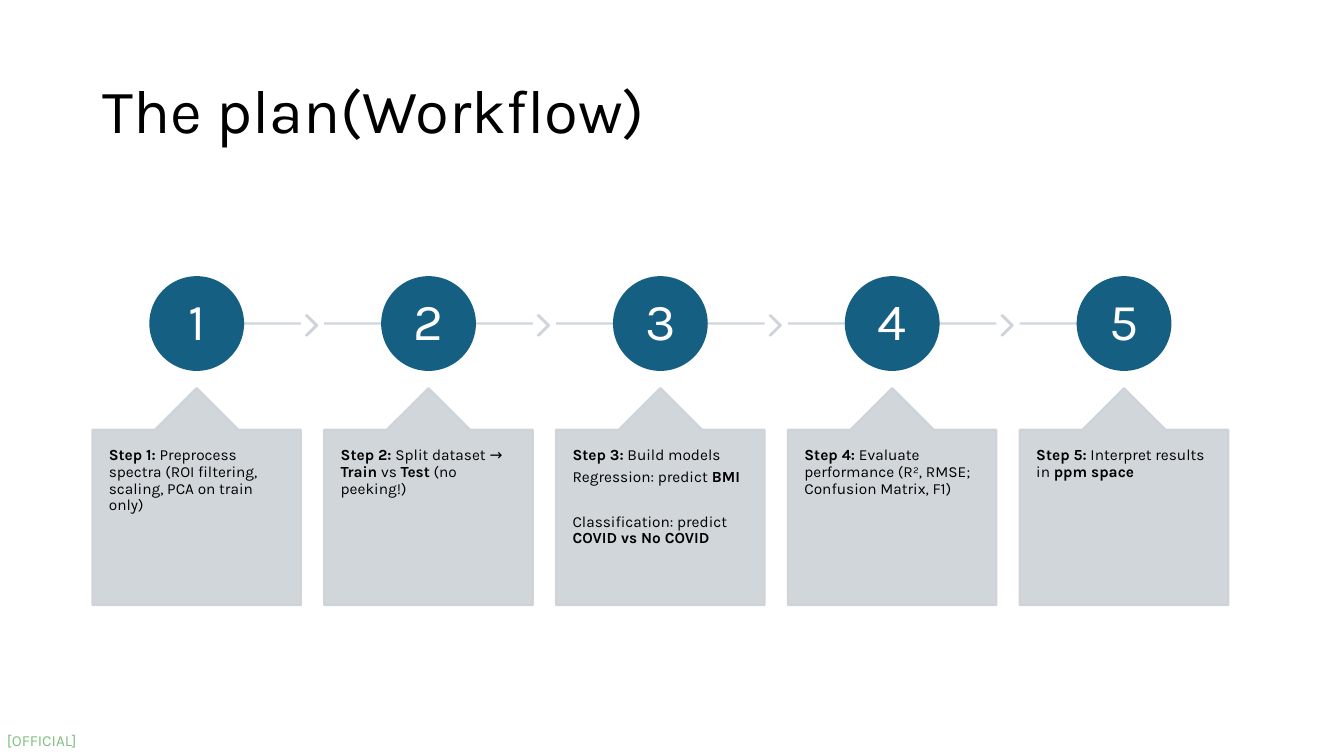
from lxml import etree
from pptx import Presentation
from pptx import util as u
from pptx.dml.color import RGBColor
from pptx.enum import shapes, text
from pptx.oxml.ns import qn

FONT = "Karla"
GREY, BLUE, WHITE, BLACK, GREEN = "CCD2D8", "156082", "FFFFFF", "000000", "008000"
GREY_ALPHA = 90

STEP_LEFT, STEP_TOP, STEP_WIDTH, STEP_PITCH = 66, 198, 149, 165.6
CIRCLE = 66.2
LINE_Y = 33.1
CALLOUT_TOP, CALLOUT_HEIGHT = 79.2, 155
CHEVRON_X, CHEVRON_Y, CHEVRON_WIDTH, CHEVRON_HEIGHT = 152.6, 27.3, 8, 14.3
PARA_GAP, GROUP_GAP = 3.9, 19.6

# Each step is a list of paragraphs: (runs, space after); a run is (words, bold).
STEPS = [
    [([("Step 1:", True),
       (" Preprocess spectra (ROI filtering, scaling, PCA on train only)", False)], PARA_GAP)],
    [([("Step 2:", True), (" Split dataset → ", False), ("Train", True),
       (" vs ", False), ("Test", True), (" (no peeking!)", False)], PARA_GAP)],
    [([("Step 3:", True), (" Build models", False)], PARA_GAP),
     ([("Regression: predict ", False), ("BMI", True)], GROUP_GAP),
     ([("Classification: predict ", False), ("COVID vs No COVID", True)], PARA_GAP)],
    [([("Step 4:", True),
       (" Evaluate performance (R², RMSE; Confusion Matrix, F1)", False)], PARA_GAP)],
    [([("Step 5:", True), (" Interpret results in ", False), ("ppm space", True)], PARA_GAP)],
]


def paint(color_format, color, alpha=100):
    """Set a colour from a hex string, with its opacity in percent."""
    color_format.rgb = RGBColor.from_string(color)
    if alpha < 100:
        for node in color_format._xFill.iter(qn("a:srgbClr")):
            etree.SubElement(node, qn("a:alpha")).set("val", str(alpha * 1000))


def write(shape, paragraphs, size, color=BLACK, alpha=100, align=text.PP_ALIGN.LEFT,
          anchor=text.MSO_ANCHOR.TOP, inset=(0, 0), spacing=0.9, wrap=True):
    """Fill a shape with paragraphs of (runs, space after)."""
    frame = shape.text_frame
    frame.word_wrap = wrap
    frame.auto_size = text.MSO_AUTO_SIZE.NONE
    frame.vertical_anchor = anchor
    frame.margin_left = frame.margin_right = u.Pt(inset[0])
    frame.margin_top = frame.margin_bottom = u.Pt(inset[1])
    for index, (runs, gap) in enumerate(paragraphs):
        para = frame.add_paragraph() if index else frame.paragraphs[0]
        para.alignment = align
        para.line_spacing = spacing
        para.space_before = u.Pt(0)
        para.space_after = u.Pt(gap)
        for words, bold in runs:
            span = para.add_run()
            span.text = words
            span.font.name = FONT
            span.font.size = u.Pt(size)
            span.font.bold = bold
            paint(span.font.color, color, alpha)


def add_preset(page, kind, left, top, width, height, color, alpha=100):
    shape = page.shapes.add_shape(kind, u.Pt(left), u.Pt(top), u.Pt(width), u.Pt(height))
    shape.shadow.inherit = False
    shape.fill.solid()
    paint(shape.fill.fore_color, color, alpha)
    shape.line.width = u.Pt(1.5)
    shape.line.fill.solid()
    paint(shape.line.fill.fore_color, color, alpha)
    return shape


def add_track(page, start, end, y):
    track = page.shapes.add_connector(shapes.MSO_CONNECTOR.STRAIGHT,
                                      u.Pt(start), u.Pt(y), u.Pt(end), u.Pt(y))
    track.line.width = u.Pt(1.5)
    track.line.fill.solid()
    paint(track.line.fill.fore_color, GREY, GREY_ALPHA)
    etree.SubElement(track._element.spPr, qn("a:effectLst"))


def add_step(page, number, paragraphs, left, top, width, first, last):
    middle = left + width / 2
    add_track(page, middle if first else left, middle if last else left + width, top + LINE_Y)
    if not last:
        chevron = add_preset(page, shapes.MSO_SHAPE.CHEVRON, left + CHEVRON_X, top + CHEVRON_Y,
                             CHEVRON_WIDTH, CHEVRON_HEIGHT, GREY, GREY_ALPHA)
        chevron.adjustments[0] = 0.9

    circle = add_preset(page, shapes.MSO_SHAPE.OVAL, middle - CIRCLE / 2, top,
                        CIRCLE, CIRCLE, BLUE)
    write(circle, [([(str(number), False)], 0)], 37, WHITE, align=text.PP_ALIGN.CENTER,
          anchor=text.MSO_ANCHOR.MIDDLE, inset=(2.9, 2.9))

    callout = add_preset(page, shapes.MSO_SHAPE.UP_ARROW_CALLOUT, left, top + CALLOUT_TOP,
                         width, CALLOUT_HEIGHT, GREY, GREY_ALPHA)
    for index, value in enumerate((0.5, 0.2, 0.2, 1)):
        callout.adjustments[index] = value
    write(callout, paragraphs, 11, inset=(11.8, 12.7))


def add_workflow(page, left, top):
    for index, paragraphs in enumerate(STEPS):
        add_step(page, index + 1, paragraphs, left + index * STEP_PITCH, top, STEP_WIDTH,
                 first=index == 0, last=index == len(STEPS) - 1)


def add_title(page, left, top, width, height):
    title = page.shapes.title
    title.left, title.top = u.Pt(left), u.Pt(top)
    title.width, title.height = u.Pt(width), u.Pt(height)
    write(title, [([("The plan(Workflow)", False)], 0)], 44,
          anchor=text.MSO_ANCHOR.MIDDLE, inset=(7.2, 3.6))


def add_marking(page, left, top, width, height):
    box = page.shapes.add_textbox(u.Pt(left), u.Pt(top), u.Pt(width), u.Pt(height))
    write(box, [([("[OFFICIAL]", False)], 0)], 11, GREEN, alpha=50, spacing=1.0, wrap=False)


def main():
    deck = Presentation()
    deck.slide_width, deck.slide_height = u.Pt(960), u.Pt(540)
    page = deck.slides.add_slide(deck.slide_layouts[5])
    add_marking(page, 5, 522, 53.3, 13)
    add_title(page, 66, 28.75, 828, 104.4)
    add_workflow(page, STEP_LEFT, STEP_TOP)
    deck.save("out.pptx")


if __name__ == "__main__":
    main()
